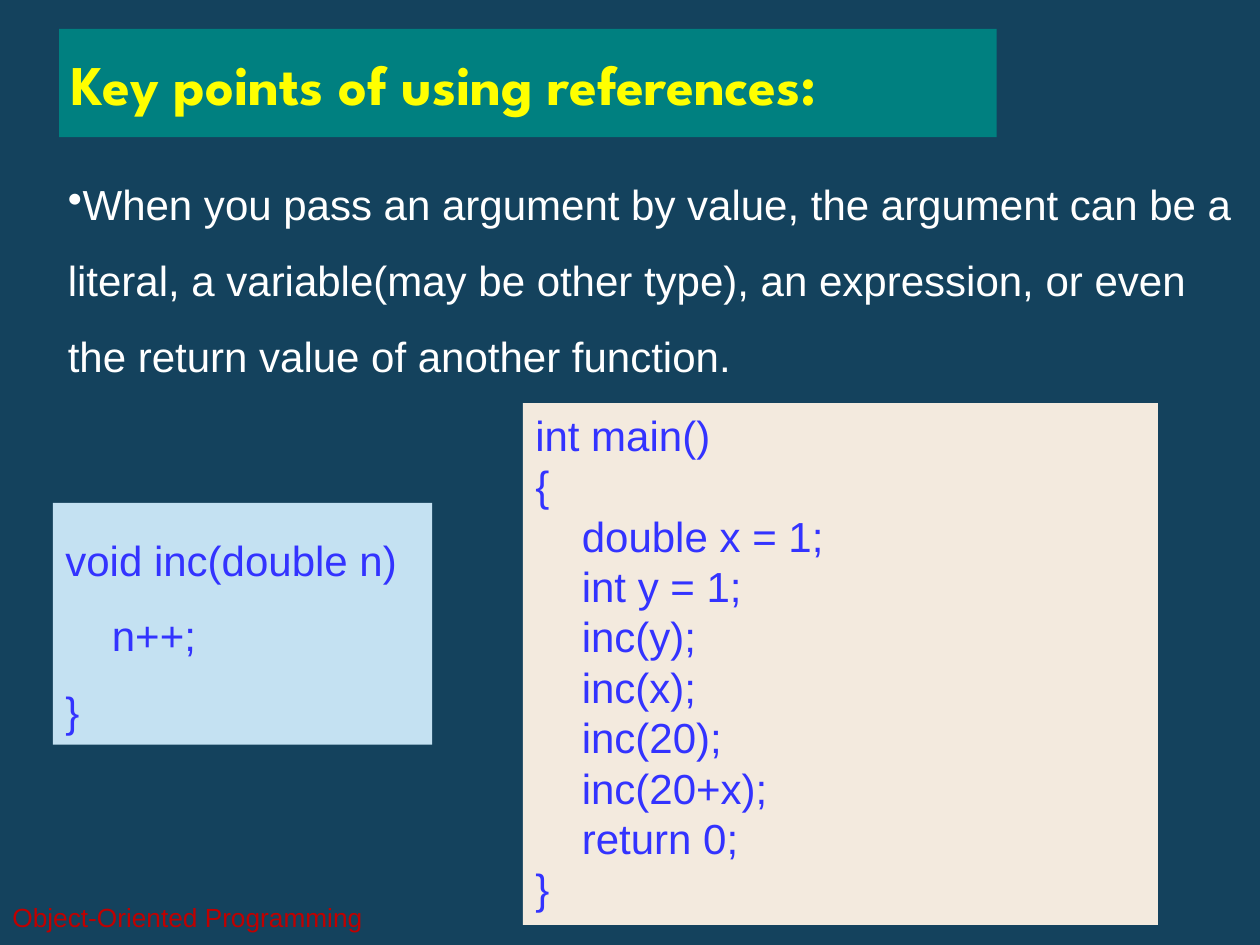
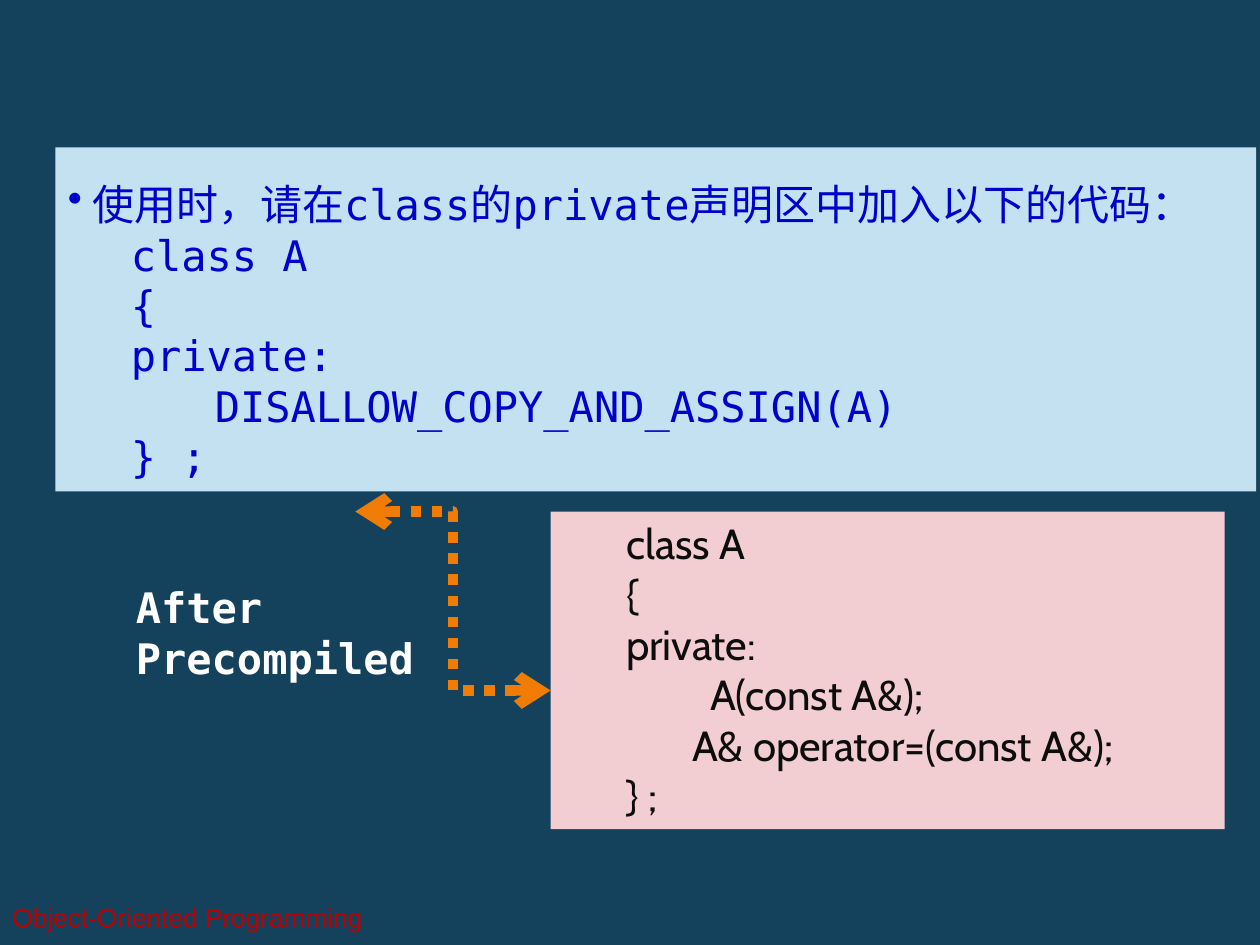
import pptx
import pptx.dml.color
import pptx.enum.dml
import pptx.enum.shapes
import pptx.enum.text
import pptx.oxml.ns
import pptx.util
from lxml import etree

RGBColor = pptx.dml.color.RGBColor
NAVY = RGBColor(0x14, 0x42, 0x5D)
TEAL = RGBColor(0x00, 0x80, 0x80)
YELLOW = RGBColor(0xFF, 0xFF, 0x00)
WHITE = RGBColor(0xFF, 0xFF, 0xFF)
RED = RGBColor(0xC0, 0x00, 0x00)
LIGHT_BLUE = RGBColor(0xC4, 0xE1, 0xF2)
CREAM = RGBColor(0xF3, 0xEA, 0xDE)
PINK = RGBColor(0xF2, 0xCE, 0xD2)
CODE_BLUE = RGBColor(0x33, 0x33, 0xFF)
DEEP_BLUE = RGBColor(0x00, 0x00, 0xCC)
BLACK = RGBColor(0x0D, 0x0D, 0x0D)
ORANGE = RGBColor(0xF0, 0x7C, 0x03)

MONO = "DejaVu Sans Mono"
COLUMNS, ROWS = 100, 75

FOOTER = "Object-Oriented Programming"
TITLE = "Key points of using references:"
ARGUMENT_RULE = (
    "When you pass an argument by value, the argument can be a literal, "
    "a variable(may be other type), an expression, or even the return value "
    "of another function."
)
INC_CODE = ["void inc(double n)", "    n++;", "}"]
MAIN_CODE = [
    "int main()",
    "{",
    "    double x = 1;",
    "    int y = 1;",
    "    inc(y);",
    "    inc(x);",
    "    inc(20);",
    "    inc(20+x);",
    "    return 0;",
    "}",
]
MACRO_INTRO = " 使用时，请在class的private声明区中加入以下的代码："
MACRO_CODE = ["class A", "{", "private:", "　　DISALLOW_COPY_AND_ASSIGN(A)", "} ;"]
EXPANDED_CODE = [
    "class A",
    "{",
    "private:",
    "　　A(const A&);",
    "       A& operator=(const A&);",
    "} ;",
]
ARROW_LABEL = "After Precompiled"

presentation = pptx.Presentation()
presentation.slide_width = pptx.util.Inches(10)
presentation.slide_height = pptx.util.Inches(7.5)


def place(*cells):
    steps = (presentation.slide_width / COLUMNS, presentation.slide_height / ROWS)
    return [round(cell * steps[index % 2]) for index, cell in enumerate(cells)]


def add_text(slide, cells, lines=(), bullet=None, fill=None, font="Arial", size=24,
             color=WHITE, bold=False, spacing=None, indent=0, middle=False):
    if fill is None:
        shape = slide.shapes.add_textbox(*place(*cells))
    else:
        rectangle = pptx.enum.shapes.MSO_SHAPE.RECTANGLE
        shape = slide.shapes.add_shape(rectangle, *place(*cells))
        shape.shadow.inherit = False
        shape.fill.solid()
        shape.fill.fore_color.rgb = fill
        shape.line.fill.background()
    frame = shape.text_frame
    frame.word_wrap = True
    anchors = pptx.enum.text.MSO_ANCHOR
    frame.vertical_anchor = anchors.MIDDLE if middle else anchors.TOP
    entries = [(line, False) for line in lines]
    if bullet:
        entries.insert(0, (bullet, True))
    for index, (line, bulleted) in enumerate(entries):
        paragraph = frame.paragraphs[0] if index == 0 else frame.add_paragraph()
        paragraph.alignment = pptx.enum.text.PP_ALIGN.LEFT
        properties = paragraph._p.get_or_add_pPr()
        properties.set("marL", str(0 if bulleted else pptx.util.Inches(indent)))
        properties.set("indent", "0")
        if bulleted:
            mark = etree.SubElement(properties, pptx.oxml.ns.qn("a:buChar"))
            mark.set("char", "•")
        if bulleted or spacing:
            paragraph.line_spacing = spacing or 1.5
        run = paragraph.add_run()
        run.text = line
        run.font.name = font
        run.font.size = pptx.util.Pt(size)
        run.font.bold = bold
        run.font.color.rgb = color
    return shape


def add_dotted_arrow(slide, start, end):
    elbow = pptx.enum.shapes.MSO_CONNECTOR.ELBOW
    connector = slide.shapes.add_connector(elbow, *place(*start, *end))
    connector.line.color.rgb = ORANGE
    connector.line.width = pptx.util.Pt(6)
    connector.line.dash_style = pptx.enum.dml.MSO_LINE.ROUND_DOT
    line = connector.line._get_or_add_ln()
    line.find(pptx.oxml.ns.qn("a:prstDash")).set("val", "sysDot")
    for name in ("a:headEnd", "a:tailEnd"):
        etree.SubElement(line, pptx.oxml.ns.qn(name)).set("type", "arrow")
    etree.SubElement(connector._element.spPr, pptx.oxml.ns.qn("a:effectLst"))


def add_slide():
    slide = presentation.slides.add_slide(presentation.slide_layouts[6])
    slide.background.fill.solid()
    slide.background.fill.fore_color.rgb = NAVY
    add_text(slide, (0, 70.8, 40.1, 4), [FOOTER], size=15, color=RED, middle=True)
    return slide


def build_references_slide():
    slide = add_slide()
    add_text(slide, (4.7, 2.3, 74.4, 8.6), [TITLE], fill=TEAL, font="League Spartan",
             size=32, color=YELLOW, bold=True, middle=True)
    add_text(slide, (4.4, 11.7, 95.6, 24.5), bullet=ARGUMENT_RULE)
    add_text(slide, (4.2, 39.9, 30.1, 19.2), INC_CODE, fill=LIGHT_BLUE,
             color=CODE_BLUE, spacing=1.5)
    add_text(slide, (41.5, 32, 50.4, 41.4), MAIN_CODE, fill=CREAM, color=CODE_BLUE)


def build_macro_slide():
    slide = add_slide()
    add_text(slide, (4.4, 11.7, 95.3, 27.3), MACRO_CODE, bullet=MACRO_INTRO,
             fill=LIGHT_BLUE, font=MONO, color=DEEP_BLUE, indent=0.5)
    add_text(slide, (43.7, 40.6, 53.5, 25.2), EXPANDED_CODE, fill=PINK,
             font="Cabin", color=BLACK, indent=0.5)
    add_dotted_arrow(slide, (28.2, 40.6), (43.7, 54.8))
    add_text(slide, (9.8, 45.7, 29.5, 9), [ARROW_LABEL], font=MONO, bold=True)


build_references_slide()
build_macro_slide()
presentation.save("out.pptx")
